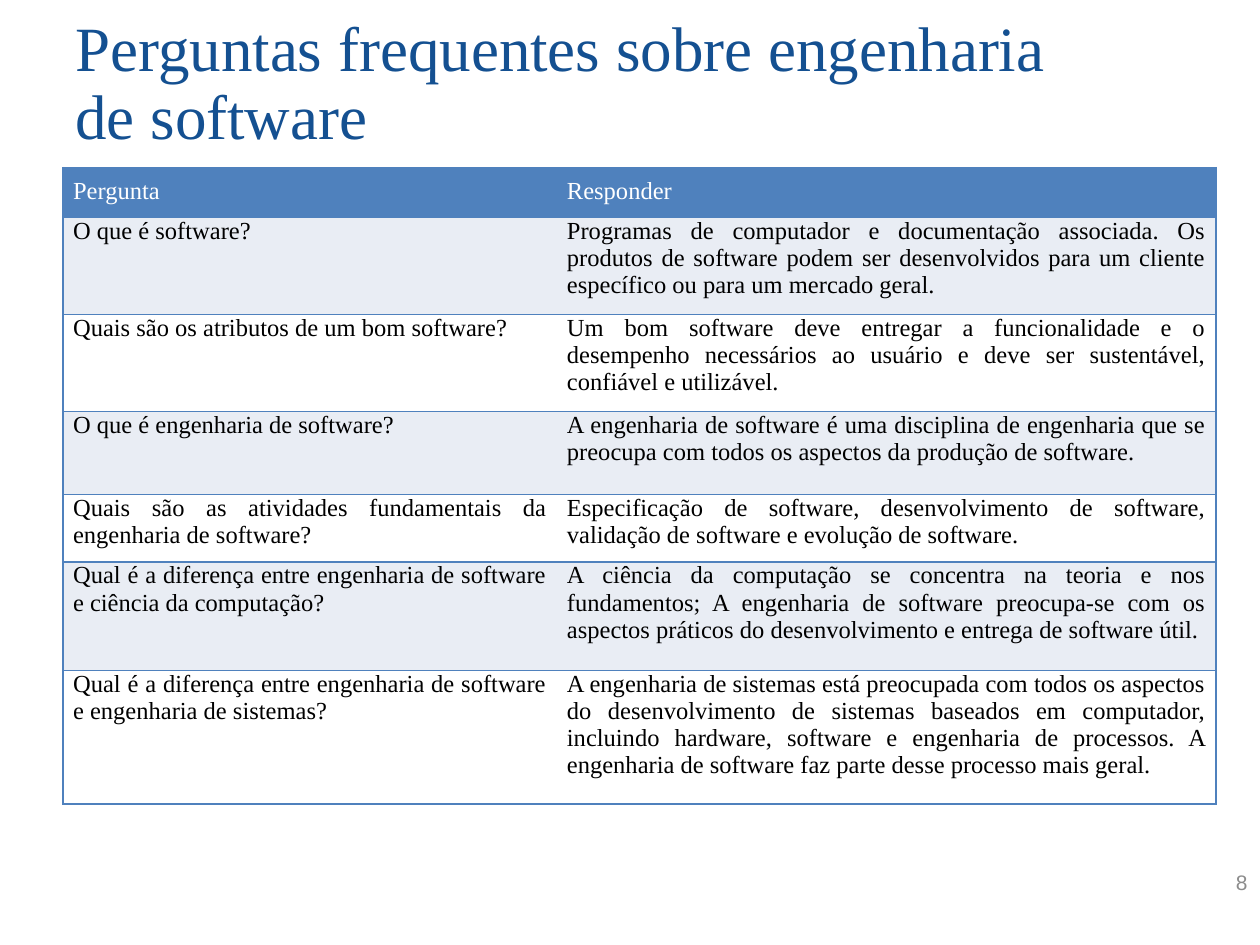
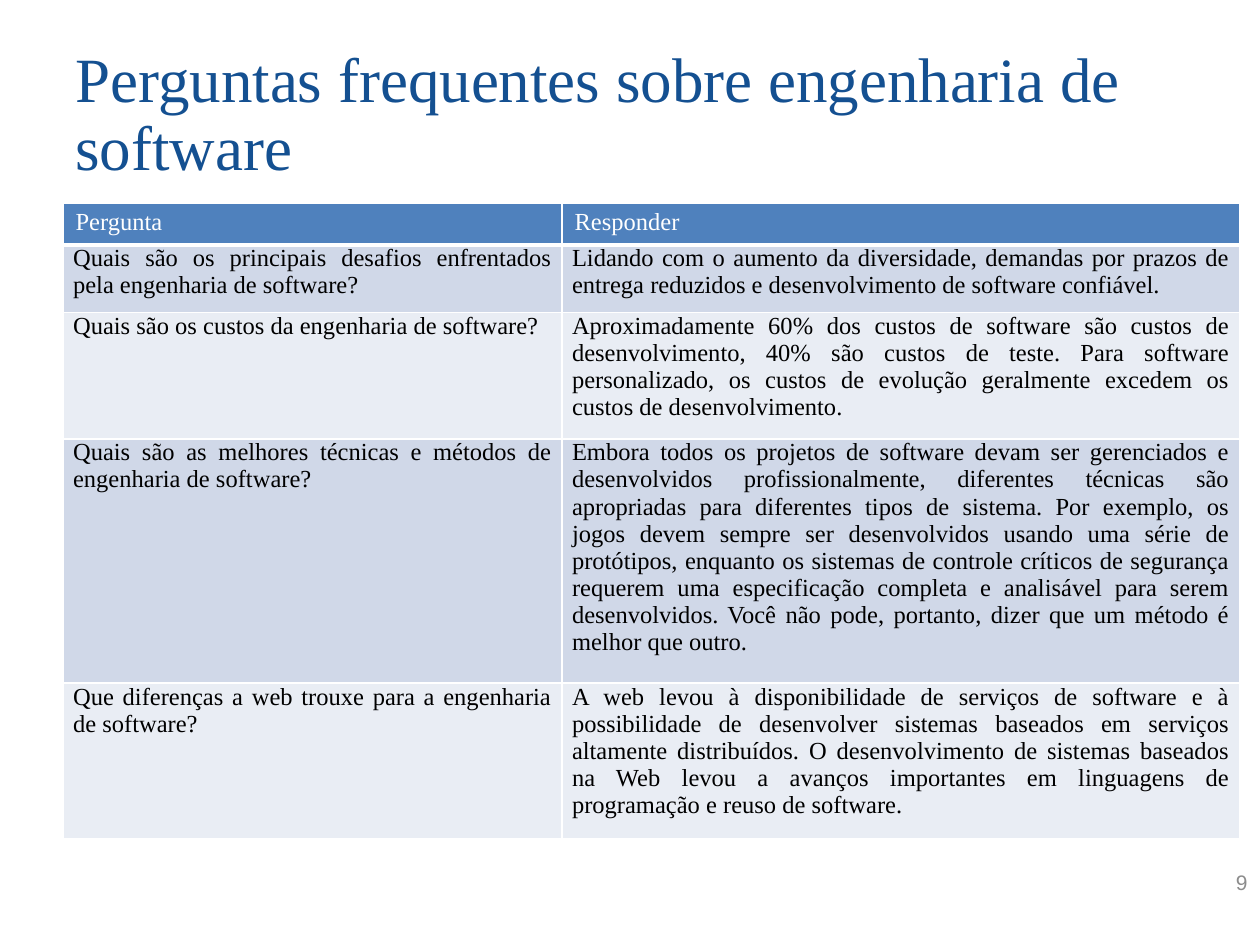
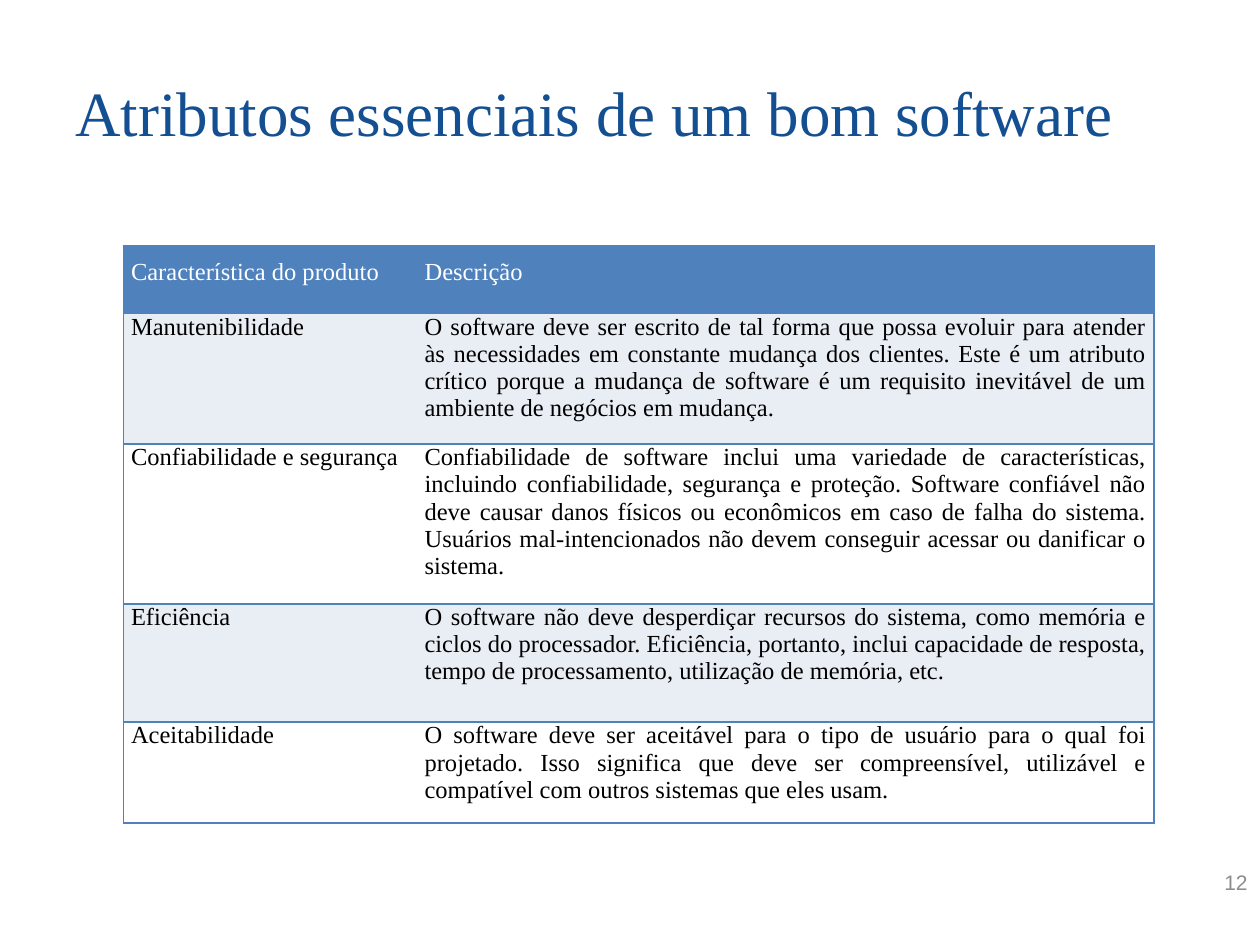
"""Builds three slides of software engineering questions and attributes."""
from dataclasses import dataclass

from lxml.etree import SubElement
from pptx import Presentation
from pptx.dml.color import RGBColor
from pptx.enum.text import MSO_ANCHOR, PP_ALIGN
from pptx.oxml.ns import qn
from pptx.util import Inches, Pt


@dataclass(frozen=True)
class Theme:
    title_color: str = "145091"
    header_fill: str = "4F81BD"
    pale_band: str = "E9EDF4"
    deep_band: str = "D0D8E8"
    white: str = "FFFFFF"
    ink: str = "000000"
    number_color: str = "8C8C8C"
    serif: str = "Times New Roman"
    sans: str = "Arial"
    title_size: int = 36
    table_size: int = 14
    number_size: int = 12


THEME = Theme()
EDGES = {"left": "a:lnL", "right": "a:lnR", "top": "a:lnT", "bottom": "a:lnB"}

OUTLINED = {
    "bands": (THEME.pale_band, THEME.white),
    "line": THEME.header_fill,
    "column_lines": False,
    "header_line": 1,
    "header_align": PP_ALIGN.JUSTIFY,
}
GRIDDED = {
    "bands": (THEME.deep_band, THEME.pale_band),
    "line": THEME.white,
    "column_lines": True,
    "header_line": 3,
    "header_align": PP_ALIGN.LEFT,
}

SLIDES = [
    {
        "title": "Perguntas frequentes sobre engenharia de software",
        "title_box": (0.5, 0.3, 8.41, 1.29),
        "title_bottom": 0.59,
        "number": "8",
        "style": OUTLINED,
        "corner": (0.5, 1.33),
        "columns": (3.92, 5.23),
        "heights": (0.38, 0.74, 0.74, 0.66, 0.52, 0.86, 1.06),
        "header_insets": (0.08, 0.08),
        "body_insets": (0.08, 0, 0.07),
        "rows": [
            ("Pergunta", "Responder"),
            ("O que é software?",
             "Programas de computador e documentação associada. Os produtos de software podem ser "
             "desenvolvidos para um cliente específico ou para um mercado geral."),
            ("Quais são os atributos de um bom software?",
             "Um bom software deve entregar a funcionalidade e o desempenho necessários ao usuário "
             "e deve ser sustentável, confiável e utilizável."),
            ("O que é engenharia de software?",
             "A engenharia de software é uma disciplina de engenharia que se preocupa com todos os "
             "aspectos da produção de software."),
            ("Quais são as atividades fundamentais da engenharia de software?",
             "Especificação de software, desenvolvimento de software, validação de software e "
             "evolução de software."),
            ("Qual é a diferença entre engenharia de software e ciência da computação?",
             "A ciência da computação se concentra na teoria e nos fundamentos; A engenharia de "
             "software preocupa-se com os aspectos práticos do desenvolvimento e entrega de "
             "software útil."),
            ("Qual é a diferença entre engenharia de software e engenharia de sistemas?",
             "A engenharia de sistemas está preocupada com todos os aspectos do desenvolvimento de "
             "sistemas baseados em computador, incluindo hardware, software e engenharia de "
             "processos. A engenharia de software faz parte desse processo mais geral."),
        ],
    },
    {
        "title": "Perguntas frequentes sobre engenharia de software",
        "title_box": (0.5, 0.3, 9, 1.25),
        "title_bottom": 0.05,
        "number": "9",
        "style": GRIDDED,
        "corner": (0.5, 1.61),
        "columns": (3.96, 5.38),
        "heights": (0.31, 0.51, 0.94, 1.82, 1.16),
        "header_insets": (0.1, 0.05),
        "body_insets": (0.08, 0, 0.07),
        "rows": [
            ("Pergunta", "Responder"),
            ("Quais são os principais desafios enfrentados pela engenharia de software?",
             "Lidando com o aumento da diversidade, demandas por prazos de entrega reduzidos e "
             "desenvolvimento de software confiável."),
            ("Quais são os custos da engenharia de software?",
             "Aproximadamente 60% dos custos de software são custos de desenvolvimento, 40% são "
             "custos de teste. Para software personalizado, os custos de evolução geralmente "
             "excedem os custos de desenvolvimento."),
            ("Quais são as melhores técnicas e métodos de engenharia de software?",
             "Embora todos os projetos de software devam ser gerenciados e desenvolvidos "
             "profissionalmente, diferentes técnicas são apropriadas para diferentes tipos de "
             "sistema. Por exemplo, os jogos devem sempre ser desenvolvidos usando uma série de "
             "protótipos, enquanto os sistemas de controle críticos de segurança requerem uma "
             "especificação completa e analisável para serem desenvolvidos. Você não pode, "
             "portanto, dizer que um método é melhor que outro."),
            ("Que diferenças a web trouxe para a engenharia de software?",
             "A web levou à disponibilidade de serviços de software e à possibilidade de "
             "desenvolver sistemas baseados em serviços altamente distribuídos. O desenvolvimento "
             "de sistemas baseados na Web levou a avanços importantes em linguagens de programação "
             "e reuso de software."),
        ],
    },
    {
        "title": "Atributos essenciais de um bom software",
        "title_box": (0.5, 0.3, 9, 1.25),
        "title_bottom": 0.05,
        "number": "12",
        "style": OUTLINED,
        "corner": (0.98, 1.95),
        "columns": (2.33, 5.85),
        "heights": (0.54, 0.94, 1.18, 0.94, 0.74),
        "header_insets": (0.06, 0.1),
        "body_insets": (0.06, 0, 0.1),
        "rows": [
            ("Característica do produto", "Descrição"),
            ("Manutenibilidade",
             "O software deve ser escrito de tal forma que possa evoluir para atender às "
             "necessidades em constante mudança dos clientes. Este é um atributo crítico porque a "
             "mudança de software é um requisito inevitável de um ambiente de negócios em mudança."),
            ("Confiabilidade e segurança",
             "Confiabilidade de software inclui uma variedade de características, incluindo "
             "confiabilidade, segurança e proteção. Software confiável não deve causar danos "
             "físicos ou econômicos em caso de falha do sistema. Usuários mal-intencionados não "
             "devem conseguir acessar ou danificar o sistema."),
            ("Eficiência",
             "O software não deve desperdiçar recursos do sistema, como memória e ciclos do "
             "processador. Eficiência, portanto, inclui capacidade de resposta, tempo de "
             "processamento, utilização de memória, etc."),
            ("Aceitabilidade",
             "O software deve ser aceitável para o tipo de usuário para o qual foi projetado. Isso "
             "significa que deve ser compreensível, utilizável e compatível com outros sistemas "
             "que eles usam."),
        ],
    },
]


def write(para, text, font, size, color, align):
    para.alignment = align
    span = para.add_run()
    span.text = text
    span.font.name = font
    span.font.size = Pt(size)
    span.font.bold = False
    span.font.color.rgb = RGBColor.from_string(color)


def add_box(page, place):
    frame = page.shapes.add_textbox(*map(Inches, place)).text_frame
    frame.word_wrap = True
    frame.vertical_anchor = MSO_ANCHOR.MIDDLE
    return frame


def add_title(page, content):
    frame = add_box(page, content["title_box"])
    frame.margin_bottom = Inches(content["title_bottom"])
    para = frame.paragraphs[0]
    para.line_spacing = 0.9
    write(para, content["title"], THEME.serif, THEME.title_size, THEME.title_color, PP_ALIGN.LEFT)


def add_number(page, number):
    frame = add_box(page, (7.75, 6.8, 2.25, 0.4))
    write(frame.paragraphs[0], number, THEME.sans, THEME.number_size, THEME.number_color,
          PP_ALIGN.RIGHT)


def set_borders(cell, color, widths):
    properties = cell._tc.get_or_add_tcPr()
    for edge, tag in EDGES.items():
        width = widths[edge]
        line = SubElement(properties, qn(tag), w=str(Pt(width)))
        if width:
            fill = SubElement(line, qn("a:solidFill"))
            SubElement(fill, qn("a:srgbClr"), val=color)
        else:
            SubElement(line, qn("a:noFill"))


def style_cell(cell, text, row, column, content):
    style = content["style"]
    is_header = row == 0
    if is_header:
        side, top = content["header_insets"]
        bottom = top
        fill, color, align = THEME.header_fill, THEME.white, style["header_align"]
    else:
        side, top, bottom = content["body_insets"]
        fill, color, align = style["bands"][(row - 1) % 2], THEME.ink, PP_ALIGN.JUSTIFY
    cell.margin_left = cell.margin_right = Inches(side)
    cell.margin_top, cell.margin_bottom = Inches(top), Inches(bottom)
    inner = int(style["column_lines"])
    set_borders(cell, style["line"], {
        "left": 1 if column == 0 else inner,
        "right": 1 if column == 1 else inner,
        "top": style["header_line"] if row == 1 else 1,
        "bottom": style["header_line"] if is_header else 1,
    })
    cell.fill.solid()
    cell.fill.fore_color.rgb = RGBColor.from_string(fill)
    write(cell.text_frame.paragraphs[0], text, THEME.serif, THEME.table_size, color, align)


def add_grid(page, content):
    rows, columns, heights = content["rows"], content["columns"], content["heights"]
    place = (*content["corner"], sum(columns), sum(heights))
    table = page.shapes.add_table(len(rows), len(columns), *map(Inches, place)).table
    table.first_row = table.horz_banding = False
    for column, width in zip(table.columns, columns):
        column.width = Inches(width)
    for row, height in zip(table.rows, heights):
        row.height = Inches(height)
    for row, texts in enumerate(rows):
        for column, text in enumerate(texts):
            style_cell(table.cell(row, column), text, row, column, content)


def main():
    deck = Presentation()
    deck.slide_width, deck.slide_height = Inches(10), Inches(7.5)
    for content in SLIDES:
        page = deck.slides.add_slide(deck.slide_layouts[6])
        add_title(page, content)
        add_grid(page, content)
        add_number(page, content["number"])
    deck.save("out.pptx")


if __name__ == "__main__":
    main()
